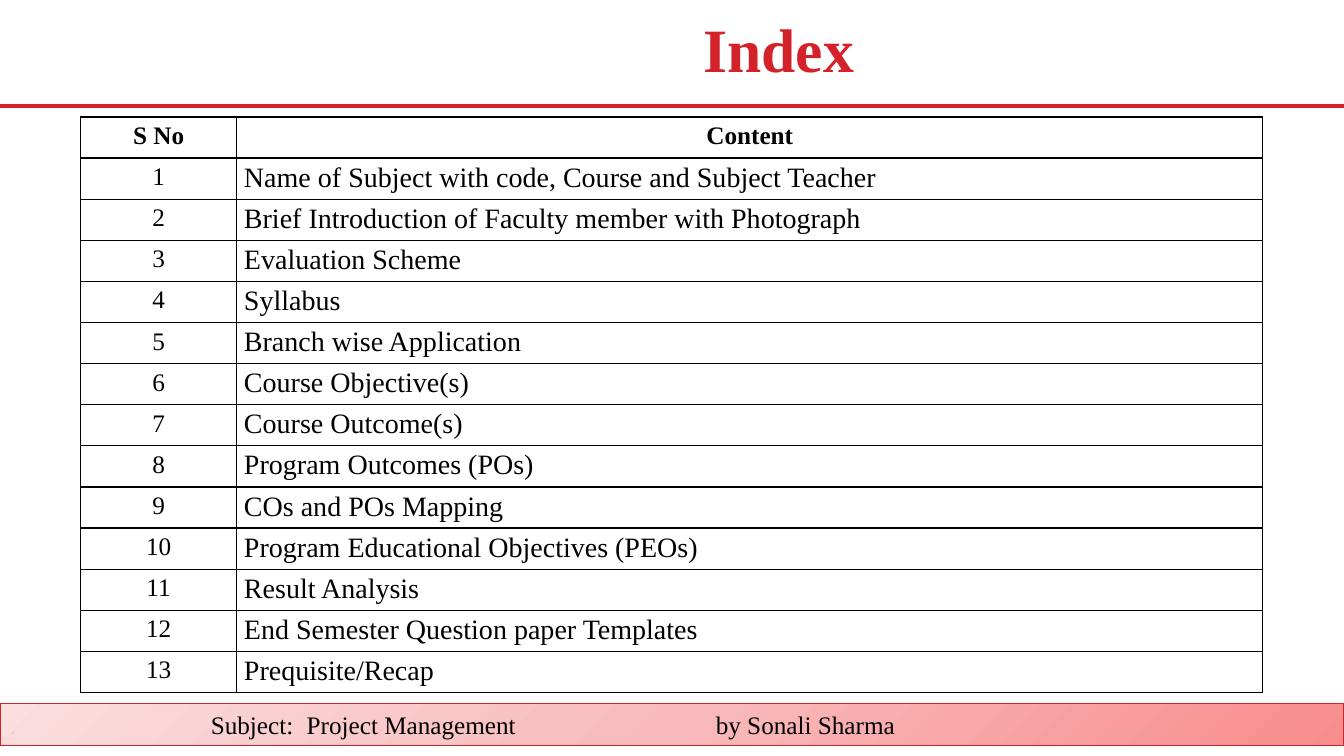
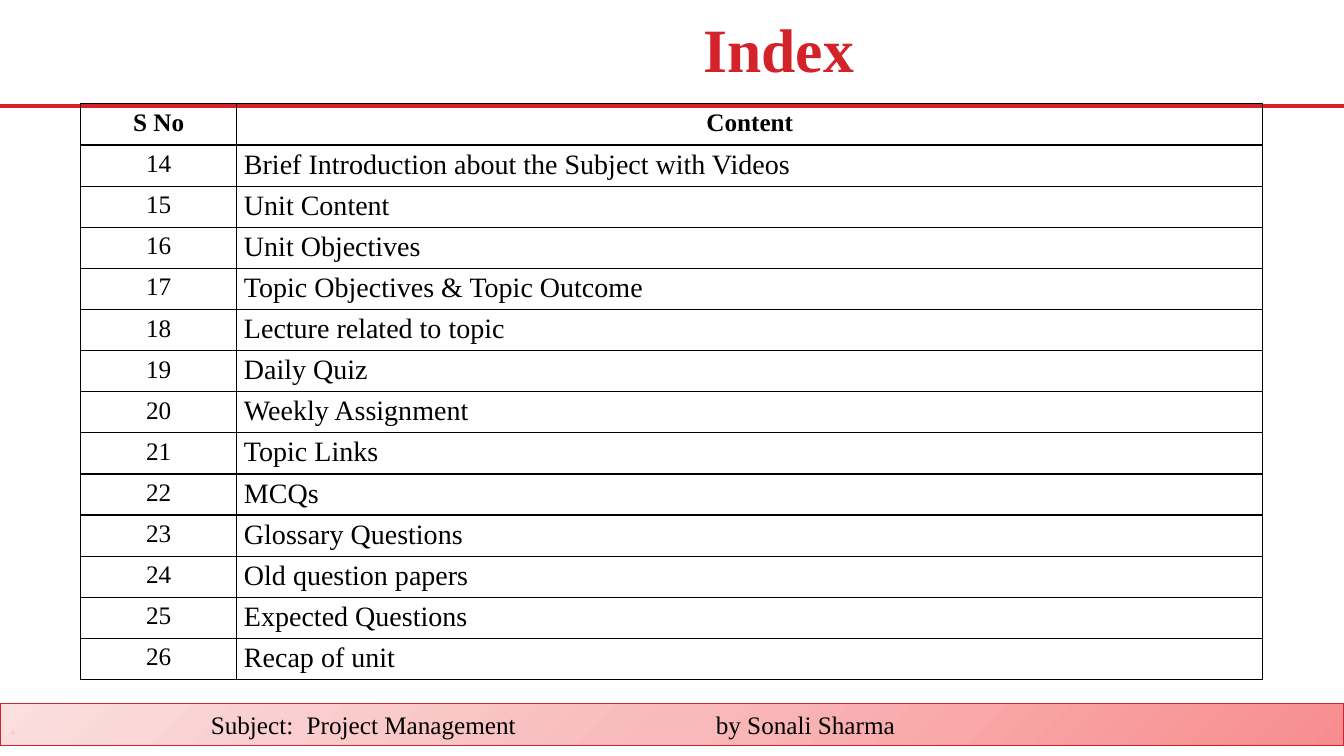
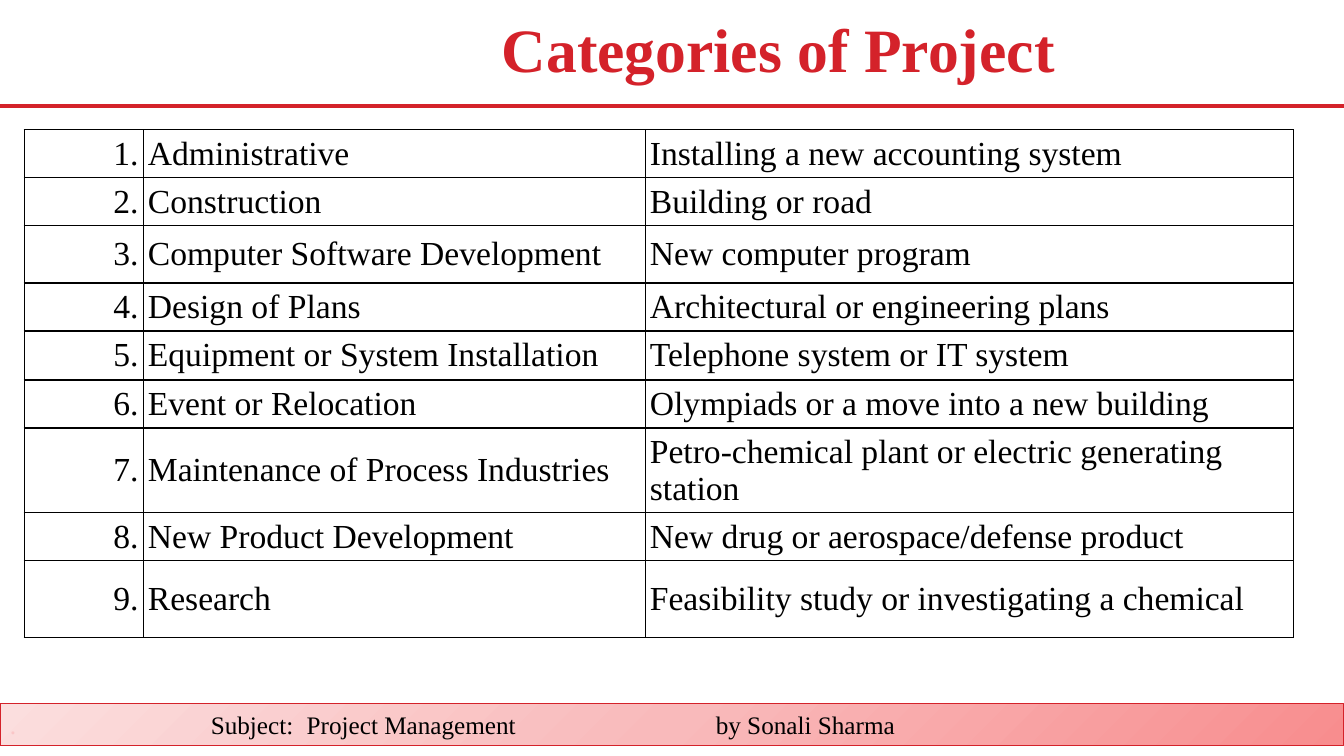
import copy
from dataclasses import dataclass

import pptx
import pptx.dml.color
import pptx.enum.shapes
import pptx.enum.text
import pptx.oxml
import pptx.oxml.ns
import pptx.util

Pt = pptx.util.Pt
Align = pptx.enum.text.PP_ALIGN
Anchor = pptx.enum.text.MSO_ANCHOR


@dataclass(frozen=True)
class Theme:
    font: str = "Times New Roman"
    red: str = "D4222A"
    black: str = "000000"
    dot: str = "FAC6C7"
    band: tuple[tuple[float, str], ...] = ((0, "F88D8E"), (0.5, "F9BABB"), (1, "FBDEDE"))
    title_size: float = 44
    label_size: float = 18
    entry_size: float = 20
    category_size: float = 24


@dataclass(frozen=True)
class CellStyle:
    size: float
    align: Align = Align.LEFT
    anchor: Anchor = Anchor.TOP
    side: float = 7.2
    edge: float = 3.6
    bold: bool = False


@dataclass(frozen=True)
class Grid:
    left: float
    top: float
    columns: tuple[float, ...]
    rows: tuple[float, ...]


@dataclass(frozen=True)
class IndexPage:
    top: float
    first: int
    entries: tuple[str, ...]


THEME = Theme()
WIDTH, HEIGHT = 960, 540
INDEX_ROW = 29.37

HEADER = CellStyle(THEME.label_size, Align.CENTER, bold=True)
NUMBER = CellStyle(THEME.label_size, Align.CENTER)
ENTRY = CellStyle(THEME.entry_size, side=5.2, edge=2.9)
CATEGORY = CellStyle(THEME.category_size, anchor=Anchor.MIDDLE, side=3.4, edge=3.4)
CATEGORY_NUMBER = CellStyle(THEME.category_size, Align.RIGHT, Anchor.MIDDLE, 3.4, 3.4)

INDEX_PAGES = (
    IndexPage(83.5, 1, (
        "Name of Subject with code, Course and Subject Teacher",
        "Brief Introduction of Faculty member with Photograph",
        "Evaluation Scheme",
        "Syllabus",
        "Branch wise Application",
        "Course Objective(s)",
        "Course Outcome(s)",
        "Program Outcomes (POs)",
        "COs and POs Mapping",
        "Program Educational Objectives (PEOs)",
        "Result Analysis",
        "End Semester Question paper Templates",
        "Prequisite/Recap",
    )),
    IndexPage(74.2, 14, (
        "Brief Introduction about the Subject with Videos",
        "Unit Content",
        "Unit Objectives",
        "Topic Objectives & Topic Outcome",
        "Lecture related to topic",
        "Daily Quiz",
        "Weekly Assignment",
        "Topic Links",
        "MCQs",
        "Glossary Questions",
        "Old question papers",
        "Expected Questions",
        "Recap of unit",
    )),
)

CATEGORIES = (
    ("Administrative", "Installing a new accounting system"),
    ("Construction", "Building or road"),
    ("Computer Software Development", "New computer program"),
    ("Design of Plans", "Architectural or engineering plans"),
    ("Equipment or System Installation", "Telephone system or IT system"),
    ("Event or Relocation", "Olympiads or a move into a new building"),
    ("Maintenance of Process Industries",
     "Petro-chemical plant or electric generating station"),
    ("New Product Development", "New drug or aerospace/defense product"),
    ("Research", "Feasibility study or investigating a chemical"),
)
CATEGORY_ROWS = (34.3, 34.3, 41, 34.3, 35, 34.3, 60.5, 34.3, 54.7)


def rgb(value: str) -> pptx.dml.color.RGBColor:
    return pptx.dml.color.RGBColor.from_string(value)


def write(para, text: str, *, size: float, color: str = THEME.black,
          bold: bool = False, align: Align = Align.LEFT) -> None:
    """Add a formatted run to the paragraph."""
    para.alignment = align
    span = para.add_run()
    span.text = text
    span.font.name = THEME.font
    span.font.size = Pt(size)
    span.font.bold = bold
    span.font.color.rgb = rgb(color)


def set_tabs(para, *stops: float) -> None:
    tabs = "".join(f'<a:tab pos="{Pt(stop)}" algn="l"/>' for stop in stops)
    para._p.get_or_add_pPr().append(pptx.oxml.parse_xml(
        f'<a:tabLst {pptx.oxml.ns.nsdecls("a")}>{tabs}</a:tabLst>'))


def add_rule(page):
    rule = page.shapes.add_connector(
        pptx.enum.shapes.MSO_CONNECTOR.STRAIGHT, Pt(0), Pt(75.6), Pt(WIDTH), Pt(75.6))
    rule.line.color.rgb = rgb(THEME.red)
    rule.line.width = Pt(3)
    rule.element.spPr.append(pptx.oxml.parse_xml(
        f'<a:effectLst {pptx.oxml.ns.nsdecls("a")}/>'))
    return rule


def add_footer(page):
    band = page.shapes.add_shape(
        pptx.enum.shapes.MSO_SHAPE.RECTANGLE, Pt(0), Pt(502.5), Pt(WIDTH), Pt(30.3))
    band.shadow.inherit = False
    band.line.color.rgb = rgb(THEME.red)
    band.line.width = Pt(0.75)
    band.fill.gradient()
    band.fill.gradient_angle = 135
    stops = band.element.spPr.find(".//" + pptx.oxml.ns.qn("a:gsLst"))
    stops.insert(1, copy.deepcopy(stops[0]))
    for stop, (position, color) in zip(band.fill.gradient_stops, THEME.band):
        stop.position = position
        stop.color.rgb = rgb(color)
    band.text_frame.word_wrap = True
    band.text_frame.vertical_anchor = Anchor.MIDDLE
    para = band.text_frame.paragraphs[0]
    set_tabs(para, 143.5, 212, 504.2)
    write(para, ".", size=THEME.label_size, color=THEME.dot)
    write(para, "\tSubject:\tProject Management\tby Sonali Sharma", size=THEME.label_size)
    return band


def share_on_layout(page) -> None:
    """Draw the rule and footer, then move them to the layout all pages use."""
    for shape in (add_rule(page), add_footer(page)):
        page.slide_layout.shapes.element.append(shape.element)


def add_page(deck, title: str):
    page = deck.slides.add_slide(deck.slide_layouts[5])
    box = page.shapes.title
    box.left, box.top, box.width, box.height = Pt(156.2), Pt(7.2), Pt(800), Pt(60.5)
    box.text_frame.vertical_anchor = Anchor.MIDDLE
    para = box.text_frame.paragraphs[0]
    para.line_spacing = 0.9
    write(para, title, size=THEME.title_size, color=THEME.red, bold=True,
          align=Align.CENTER)
    return page


def add_borders(cell) -> None:
    for side in ("lnL", "lnR", "lnT", "lnB"):
        cell._tc.get_or_add_tcPr().append(pptx.oxml.parse_xml(
            f'<a:{side} {pptx.oxml.ns.nsdecls("a")} w="{Pt(1)}"><a:solidFill>'
            f'<a:srgbClr val="{THEME.black}"/></a:solidFill></a:{side}>'))


def fill_cell(cell, text: str, style: CellStyle) -> None:
    add_borders(cell)
    cell.fill.background()
    cell.margin_left = cell.margin_right = Pt(style.side)
    cell.margin_top = cell.margin_bottom = Pt(style.edge)
    cell.vertical_anchor = style.anchor
    write(cell.text_frame.paragraphs[0], text, size=style.size, bold=style.bold,
          align=style.align)


def add_grid(page, grid: Grid, rows: list[tuple[tuple[str, CellStyle], ...]]) -> None:
    table = page.shapes.add_table(
        len(grid.rows), len(grid.columns), Pt(grid.left), Pt(grid.top),
        Pt(sum(grid.columns)), Pt(sum(grid.rows))).table
    table.first_row = table.horz_banding = False
    for column, width in zip(table.columns, grid.columns):
        column.width = Pt(width)
    for row, height, contents in zip(table.rows, grid.rows, rows):
        row.height = Pt(height)
        for cell, (text, style) in zip(row.cells, contents):
            fill_cell(cell, text, style)


def add_index(page, index: IndexPage) -> None:
    rows = [(("S No", HEADER), ("Content", HEADER))]
    rows += [((str(number), NUMBER), (entry, ENTRY))
             for number, entry in enumerate(index.entries, index.first)]
    add_grid(page, Grid(57.5, index.top, (111.6, 733), (INDEX_ROW,) * len(rows)), rows)


def add_categories(page) -> None:
    rows = [((f"{number}.", CATEGORY_NUMBER), (name, CATEGORY), (example, CATEGORY))
            for number, (name, example) in enumerate(CATEGORIES, 1)]
    add_grid(page, Grid(17.3, 92.6, (85, 358.6, 463), CATEGORY_ROWS), rows)


def main() -> None:
    deck = pptx.Presentation()
    deck.slide_width, deck.slide_height = Pt(WIDTH), Pt(HEIGHT)
    for index in INDEX_PAGES:
        add_index(add_page(deck, "Index"), index)
    add_categories(add_page(deck, "Categories of Project"))
    share_on_layout(deck.slides[0])
    deck.save("out.pptx")


if __name__ == "__main__":
    main()
